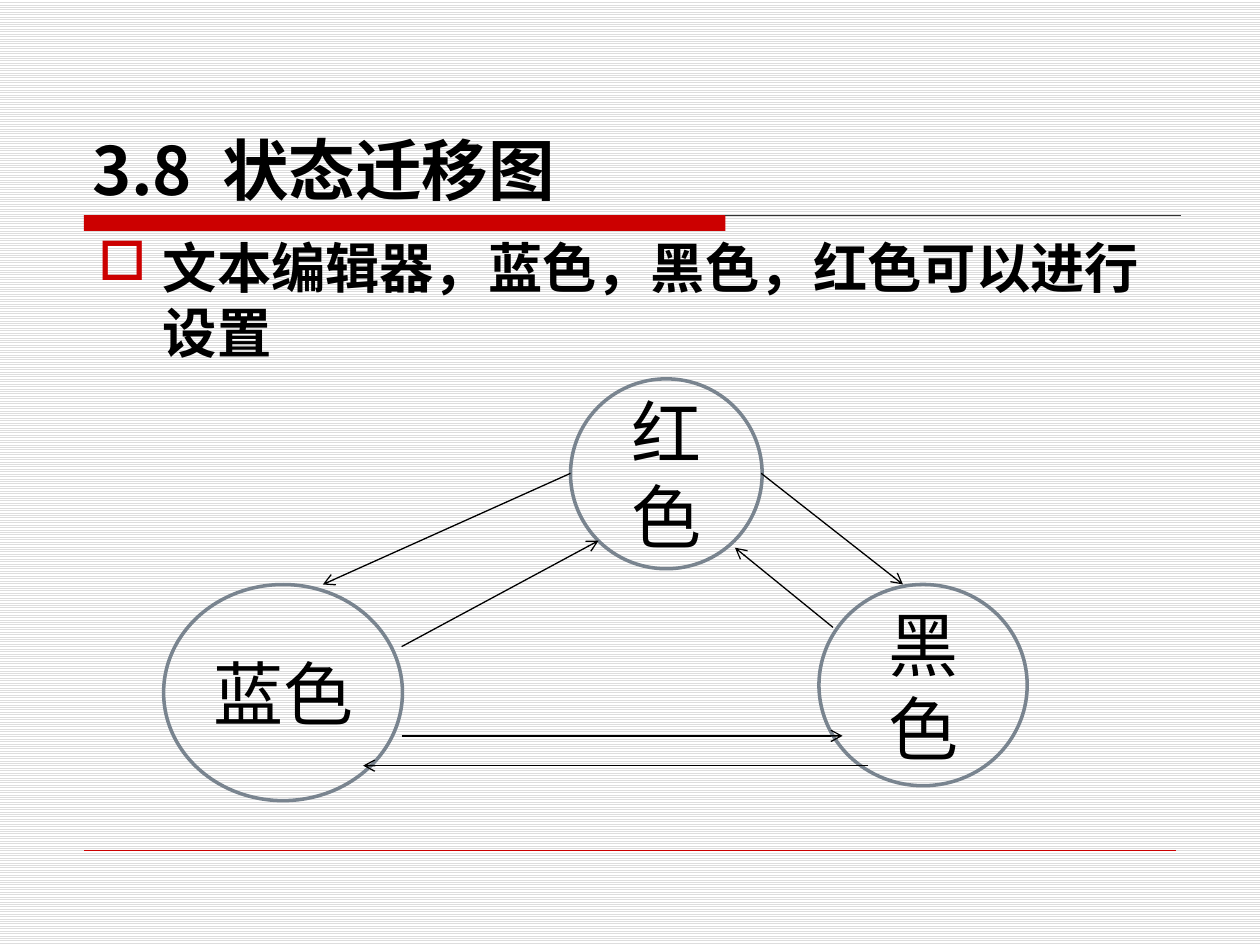
import pptx
import pptx.util
import pptx.dml.color
import pptx.enum.dml
import pptx.enum.shapes
import pptx.enum.text
import pptx.oxml
import pptx.oxml.ns
import lxml.etree

Pt = pptx.util.Pt
qn = pptx.oxml.ns.qn


def color(value):
    return pptx.dml.color.RGBColor.from_string(value)


def style(span, size, name, bold=False):
    span.font.size = Pt(size)
    span.font.name = name
    span.font.bold = bold
    span.font.color.rgb = color("000000")
    east_asian = lxml.etree.SubElement(span.font._element, qn("a:ea"))
    east_asian.set("typeface", name)


deck = pptx.Presentation()
deck.slide_width, deck.slide_height = Pt(720), Pt(540)
page = deck.slides.add_slide(deck.slide_layouts[6])
shapes = page.shapes

# Striped background
backdrop = page.background.fill
backdrop.patterned()
backdrop.pattern = pptx.enum.dml.MSO_PATTERN.LIGHT_HORIZONTAL
backdrop.fore_color.rgb = color("DDDDDD")
backdrop.back_color.rgb = color("FFFFFF")

# Red bar under the title
bar = shapes.add_shape(pptx.enum.shapes.MSO_SHAPE.RECTANGLE,
                       Pt(48), Pt(123), Pt(366.5), Pt(9))
bar.shadow.inherit = False
bar.fill.solid()
bar.fill.fore_color.rgb = color("CC0000")
bar.line.fill.background()

# Title
title = shapes.add_textbox(Pt(45.5), Pt(24), Pt(630), Pt(95.5))
frame = title.text_frame
frame.word_wrap = True
frame.vertical_anchor = pptx.enum.text.MSO_ANCHOR.BOTTOM
frame.margin_bottom = 0
for words in ("3.8", " ", "状态迁移图"):
    span = frame.paragraphs[0].add_run()
    span.text = words
    style(span, 38, "Noto Sans CJK SC", bold=True)
    if words == " ":
        span.font._element.set("spc", "850")  # wide gap after the number

# Bulleted statement
body = shapes.add_textbox(Pt(49), Pt(130.5), Pt(628), Pt(451.5))
frame = body.text_frame
frame.word_wrap = True
frame.text = "文本编辑器，蓝色，黑色，红色可以进行设置"
para = frame.paragraphs[0]
properties = para._p.get_or_add_pPr()
properties.set("marL", str(Pt(37)))
properties.set("indent", str(-Pt(37)))
bullet_color = lxml.etree.SubElement(properties, qn("a:buClr"))
lxml.etree.SubElement(bullet_color, qn("a:srgbClr")).set("val", "CC0000")
lxml.etree.SubElement(properties, qn("a:buChar")).set("char", "□")
style(para.runs[0], 31, "DejaVu Sans", bold=True)

# States: label, left, top, width, height
states = [
    ("红色", 326, 216.5, 109.5, 108.5),
    ("蓝色", 93.5, 334, 136.5, 123.5),
    ("黑色", 468, 334, 119, 115),
]
for label, *place in states:
    state = shapes.add_shape(pptx.enum.shapes.MSO_SHAPE.OVAL,
                             *[Pt(length) for length in place])
    state.shadow.inherit = False
    state.fill.background()
    state.line.color.rgb = color("79848F")
    state.line.width = Pt(2)
    frame = state.text_frame
    frame.word_wrap = True
    frame.vertical_anchor = pptx.enum.text.MSO_ANCHOR.MIDDLE
    frame.text = label
    frame.paragraphs[0].alignment = pptx.enum.text.PP_ALIGN.CENTER
    style(frame.paragraphs[0].runs[0], 40, "DejaVu Sans")

# Rules and transitions: start, end, colour, width, arrowhead
lines = [
    (414, 123, 675, 123, "333333", 0.75, False),
    (48, 486, 672, 486, "CC0000", 0.25, False),
    (435, 270.5, 516, 334, "000000", 0.75, True),
    (326, 270.5, 184.5, 334, "000000", 0.75, True),
    (229.5, 369.5, 342, 309, "000000", 0.75, True),
    (229.5, 420.5, 481.5, 420.5, "000000", 0.75, True),
    (476, 358.5, 420, 313, "000000", 0.75, True),
    (496, 437.5, 207.5, 437.5, "000000", 0.75, True),
]
for *ends, shade, width, has_arrow in lines:
    line = shapes.add_connector(pptx.enum.shapes.MSO_CONNECTOR.STRAIGHT,
                                *[Pt(length) for length in ends])
    line.line.color.rgb = color(shade)
    line.line.width = Pt(width)
    if has_arrow:
        outline = line.line._get_or_add_ln()
        lxml.etree.SubElement(outline, qn("a:tailEnd")).set("type", "arrow")
    lxml.etree.SubElement(line._element.spPr, qn("a:effectLst"))

deck.save("out.pptx")
